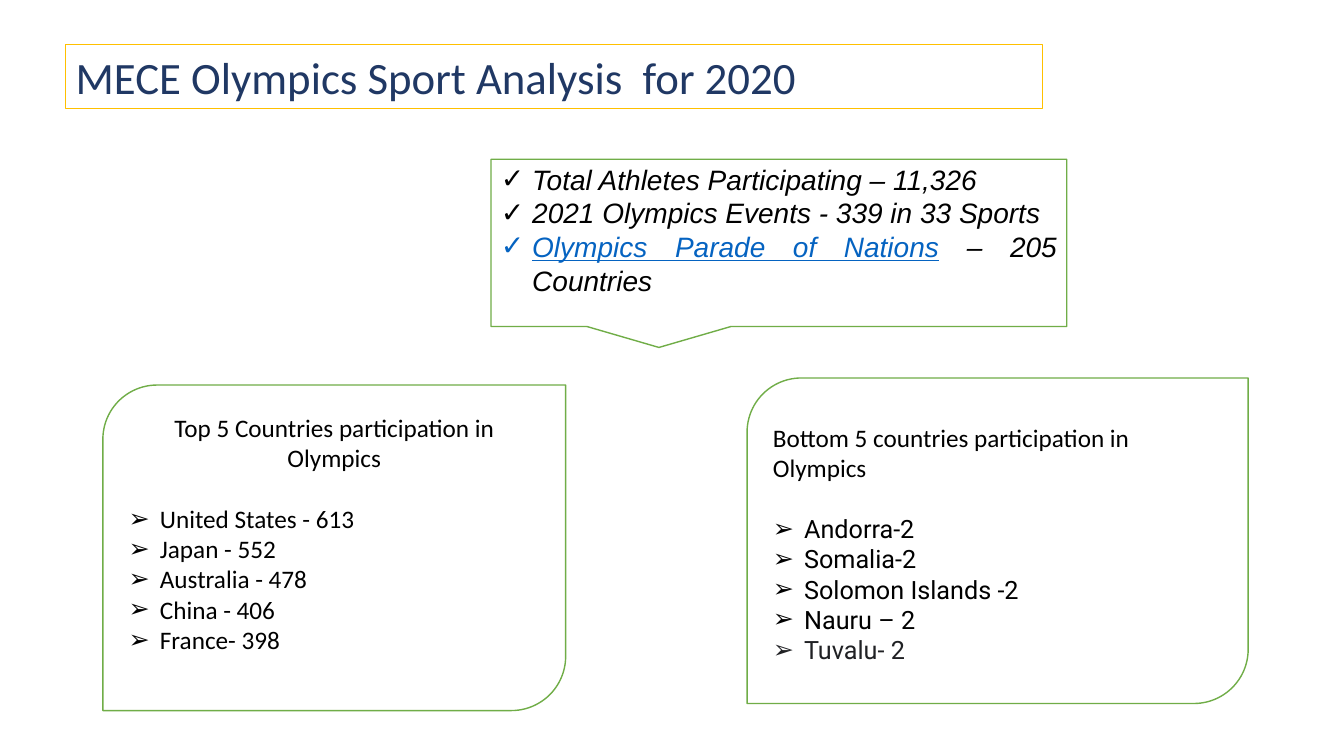
from dataclasses import dataclass

from lxml import etree
from pptx import Presentation
from pptx.dml.color import RGBColor
from pptx.enum import shapes, text
from pptx.oxml import ns
from pptx.util import Inches, Pt


@dataclass(frozen=True)
class Theme:
    navy: str = "203864"
    gold: str = "FFC000"
    green: str = "70AD47"
    white: str = "FFFFFF"
    black: str = "000000"
    charcoal: str = "202124"
    link: str = "0563C1"
    title_size: int = 32
    fact_size: int = 20
    body_size: int = 18


THEME = Theme()
ALIGN = text.PP_ALIGN


def set_line(shape, color, width):
    shape.line.color.rgb = RGBColor.from_string(color)
    shape.line.width = Pt(width)


def set_frame(frame, top_inset):
    settings = {
        "word_wrap": True,
        "auto_size": text.MSO_AUTO_SIZE.NONE,
        "vertical_anchor": text.MSO_ANCHOR.TOP,
        "margin_left": Inches(0.1),
        "margin_right": Inches(0.1),
        "margin_top": Inches(top_inset),
        "margin_bottom": 0,
    }
    for name, value in settings.items():
        setattr(frame, name, value)


def add_run(paragraph, words, size, font, color=THEME.black, **extra):
    run = paragraph.add_run()
    run.text = words
    settings = {"size": Pt(size), "name": font, **extra}
    for name, value in settings.items():
        setattr(run.font, name, value)
    run.font.color.rgb = RGBColor.from_string(color)


def add_bullet(paragraph, mark):
    properties = paragraph._p.get_or_add_pPr()
    properties.set("marL", str(Inches(0.31)))
    properties.set("indent", str(-Inches(0.31)))
    etree.SubElement(properties, ns.qn("a:buFont"), typeface="Arial")
    etree.SubElement(properties, ns.qn("a:buChar"), char=mark)


def add_panel(slide, kind, box, top_inset):
    shape = slide.shapes.add_shape(kind, *map(Inches, box))
    shape.shadow.inherit = False
    shape.fill.solid()
    shape.fill.fore_color.rgb = RGBColor.from_string(THEME.white)
    set_line(shape, THEME.green, 1)
    set_frame(shape.text_frame, top_inset)
    return shape.text_frame


def place_title(slide, box, words):
    title = slide.shapes.title
    title.left, title.top, title.width, title.height = map(Inches, box)
    set_line(title, THEME.gold, 0.75)
    set_frame(title.text_frame, 0.05)
    paragraph = title.text_frame.paragraphs[0]
    paragraph.alignment = ALIGN.LEFT
    add_run(paragraph, words, THEME.title_size, "Calibri", THEME.navy)


def add_country_panel(slide, box, heading, alignment, countries, font, top_inset):
    frame = add_panel(
        slide, shapes.MSO_SHAPE.ROUND_2_DIAG_RECTANGLE, box, top_inset)
    paragraph = frame.paragraphs[0]
    paragraph.alignment = alignment
    paragraph.space_after = Pt(22)
    add_run(paragraph, heading, THEME.body_size, "Calibri")
    for country, color in countries:
        paragraph = frame.add_paragraph()
        paragraph.alignment = ALIGN.LEFT
        add_bullet(paragraph, "➢")
        add_run(paragraph, country, THEME.body_size, font, color)


def add_facts_callout(slide, box, facts):
    frame = add_panel(
        slide, shapes.MSO_SHAPE.RECTANGULAR_CALLOUT, box, 0.03)
    for index, runs in enumerate(facts):
        paragraph = frame.add_paragraph() if index else frame.paragraphs[0]
        paragraph.alignment = ALIGN.JUSTIFY
        add_bullet(paragraph, "✓")
        for words, extra in runs:
            add_run(paragraph, words, THEME.fact_size, "Arial",
                    italic=True, **extra)


def main():
    presentation = Presentation()
    presentation.slide_width = Inches(13.33)
    presentation.slide_height = Inches(7.5)
    slide = presentation.slides.add_slide(presentation.slide_layouts[5])

    # Title
    place_title(slide, (0.65, 0.44, 9.69, 0.64),
                "MECE Olympics Sport Analysis  for 2020")

    # Country panels
    top_countries = ["United States - 613", "Japan - 552", "Australia - 478",
                     "China - 406", "France- 398"]
    bottom_countries = ["Andorra-2", "Somalia-2", "Solomon Islands -2",
                        "Nauru – 2"]
    add_country_panel(
        slide, (1.02, 3.82, 4.59, 3.23),
        "Top 5 Countries participation in Olympics", ALIGN.CENTER,
        [(country, THEME.black) for country in top_countries],
        "Calibri", 0.11)
    add_country_panel(
        slide, (7.41, 3.75, 4.97, 3.23),
        "Bottom 5 countries participation in Olympics", ALIGN.LEFT,
        [(country, THEME.black) for country in bottom_countries]
        + [("Tuvalu- 2", THEME.charcoal)],
        "Roboto", 0.28)

    # Key facts
    add_facts_callout(slide, (4.87, 1.58, 5.71, 1.66), [
        [("Total Athletes Participating – 11,326", {})],
        [("2021 Olympics Events - 339 in 33 Sports", {})],
        [("Olympics Parade of Nations",
          {"color": THEME.link, "underline": True}),
         (" – 205 Countries", {})],
    ])

    presentation.save("out.pptx")


if __name__ == "__main__":
    main()
